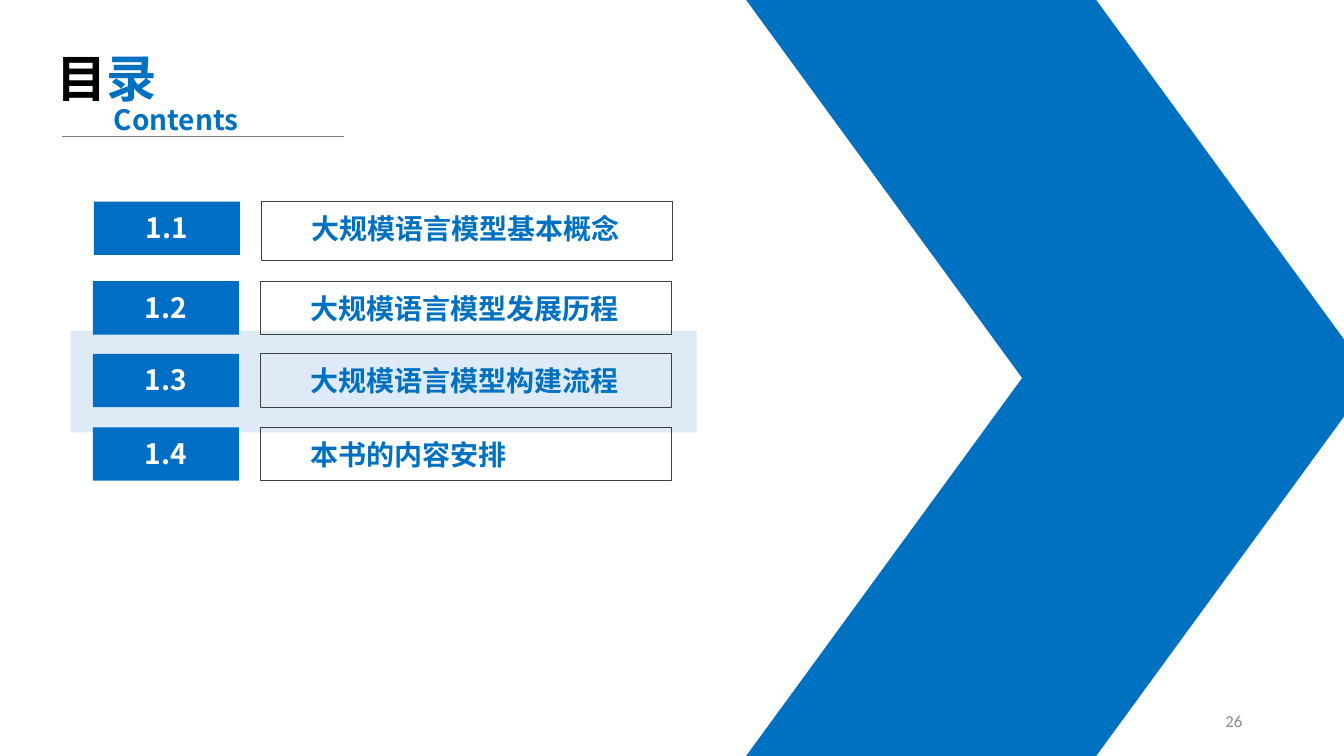
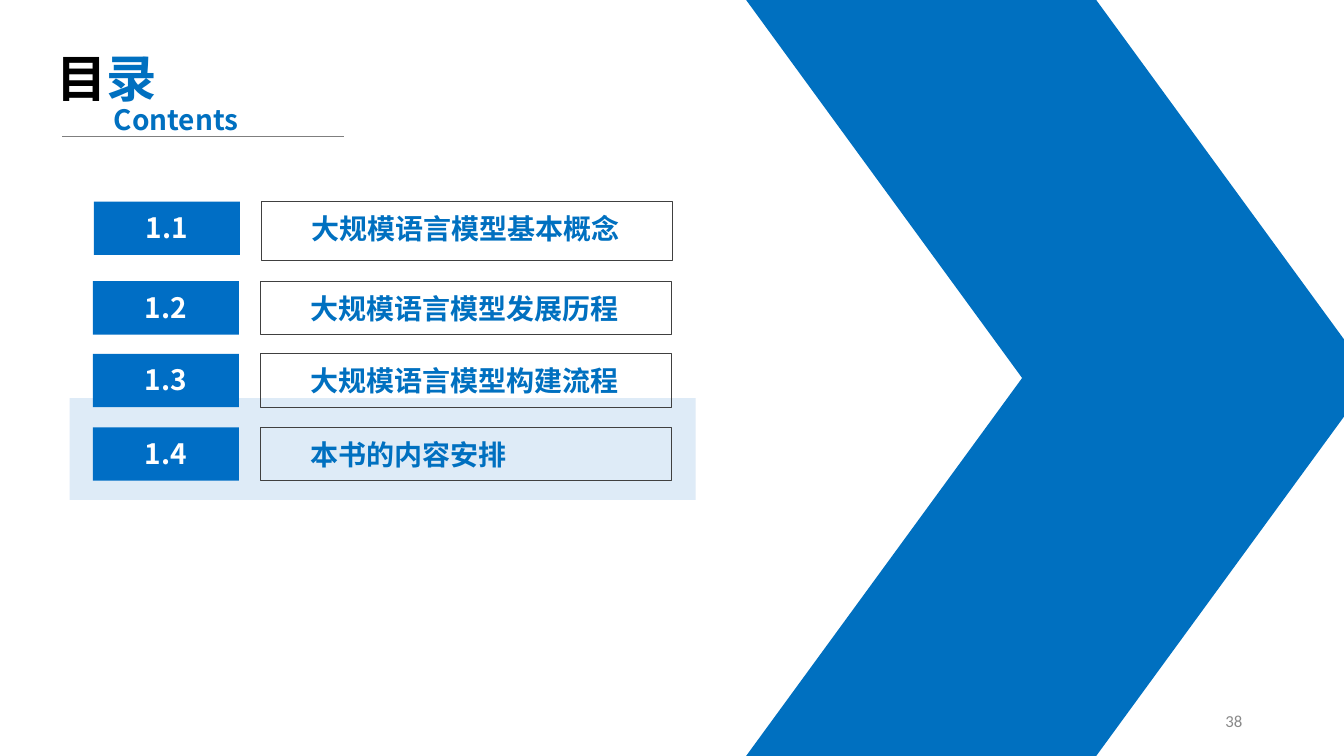
from dataclasses import dataclass

from lxml.etree import SubElement
from pptx import Presentation
from pptx.dml.color import RGBColor
from pptx.enum.shapes import MSO_CONNECTOR, MSO_SHAPE
from pptx.enum.text import MSO_ANCHOR, MSO_AUTO_SIZE, PP_ALIGN
from pptx.oxml.ns import qn
from pptx.shapes.autoshape import Shape
from pptx.slide import Slide
from pptx.text.text import _Paragraph as Paragraph
from pptx.util import Emu, Pt

PX = 9144  # EMU: 100 px to the inch

BLUE = RGBColor(0x00, 0x70, 0xC0)
BADGE_BLUE = RGBColor(0x00, 0x6E, 0xC5)
PALE_BLUE = RGBColor(0xDE, 0xEB, 0xF7)
FRAME_GRAY = RGBColor(0x40, 0x40, 0x40)
RULE_GRAY = RGBColor(0x7F, 0x7F, 0x7F)
PAGE_GRAY = RGBColor(0x89, 0x89, 0x89)
BLACK = RGBColor(0x00, 0x00, 0x00)
WHITE = RGBColor(0xFF, 0xFF, 0xFF)

HEADING_FONT = "Noto Sans CJK SC"
PAGE_FONT = "Calibri"


@dataclass(frozen=True)
class Box:
    left: int
    top: int
    width: int
    height: int

    def emu(self) -> tuple[Emu, ...]:
        return tuple(Emu(n * PX) for n in (self.left, self.top, self.width, self.height))


@dataclass(frozen=True)
class Section:
    number: str
    title: str
    left: int
    top: int
    frame_height: int = 53


@dataclass(frozen=True)
class ContentsPage:
    page: str
    highlight: Box


SECTIONS = (
    Section("1.1", "大规模语言模型基本概念", 93, 200, 58),
    Section("1.2", "大规模语言模型发展历程", 92, 279),
    Section("1.3", "大规模语言模型构建流程", 92, 351),
    Section("1.4", "本书的内容安排", 92, 424),
)

PAGES = (
    ContentsPage("26", Box(70, 328, 621, 101)),
    ContentsPage("38", Box(69, 395, 621, 101)),
)


def add_block(slide: Slide, box: Box, fill: RGBColor | None = None,
              line: RGBColor | None = None, kind: MSO_SHAPE = MSO_SHAPE.RECTANGLE) -> Shape:
    block = slide.shapes.add_shape(kind, *box.emu())
    block.shadow.inherit = False
    if fill is None:
        block.fill.background()
    else:
        block.fill.solid()
        block.fill.fore_color.rgb = fill
    if line is None:
        block.line.fill.background()
    else:
        block.line.color.rgb = line
        block.line.width = Pt(0.75)
    return block


def add_text(slide: Slide, box: Box, text: str, size: int, color: RGBColor,
             align: PP_ALIGN = PP_ALIGN.LEFT, font: str = HEADING_FONT,
             bold: bool = True, grow: bool = True) -> Paragraph:
    frame = slide.shapes.add_textbox(*box.emu()).text_frame
    frame.word_wrap = True
    if grow:
        frame.auto_size = MSO_AUTO_SIZE.SHAPE_TO_FIT_TEXT
    else:
        frame.vertical_anchor = MSO_ANCHOR.MIDDLE
    paragraph = frame.paragraphs[0]
    paragraph.alignment = align
    paragraph.add_run().text = text
    style = paragraph.font
    style.name, style.size, style.bold = font, Pt(size), bold
    style.color.rgb = color
    # Chinese characters take their typeface from the East Asian font
    defaults = paragraph._p.pPr.find(qn("a:defRPr"))
    SubElement(defaults, qn("a:ea")).set("typeface", font)
    return paragraph


def add_chevron(slide: Slide) -> None:
    """Two mirrored parallelograms that meet at mid-height."""
    for top, flipped in ((375, False), (0, True)):
        half = add_block(slide, Box(740, top, 621, 375), BLUE, kind=MSO_SHAPE.PARALLELOGRAM)
        half.adjustments[0] = 0.73
        if flipped:
            half.element.spPr.find(qn("a:xfrm")).set("flipV", "1")


def add_heading(slide: Slide) -> None:
    heading = add_text(slide, Box(46, 42, 157, 71), "目", 36, BLACK)
    accent = heading.add_run()
    accent.text = "录"
    accent.font.color.rgb = BLUE
    rule = slide.shapes.add_connector(
        MSO_CONNECTOR.STRAIGHT, *(Emu(n * PX) for n in (62, 135, 341, 135)))
    rule.line.color.rgb = RULE_GRAY
    rule.line.width = Pt(0.5)
    SubElement(rule._element.spPr, qn("a:effectLst"))
    add_text(slide, Box(103, 97, 157, 44), "Contents", 20, BLUE)


def add_section(slide: Slide, section: Section) -> None:
    left, top = section.left, section.top
    add_block(slide, Box(left + 166, top, 408, section.frame_height), line=FRAME_GRAY)
    add_text(slide, Box(left + 206, top + 5, 368, 44), section.title, 20, BLUE)
    add_block(slide, Box(left, top, 145, 53), BADGE_BLUE)
    add_text(slide, Box(left + 20, top + 4, 105, 44), section.number, 20, WHITE,
             PP_ALIGN.CENTER)


def add_contents_slide(deck: Presentation, contents: ContentsPage) -> None:
    slide = deck.slides.add_slide(deck.slide_layouts[6])
    add_block(slide, contents.highlight, PALE_BLUE)
    add_chevron(slide)
    add_heading(slide)
    for section in SECTIONS:
        add_section(slide, section)
    add_text(slide, Box(942, 695, 300, 40), contents.page, 12, PAGE_GRAY,
             PP_ALIGN.RIGHT, PAGE_FONT, bold=False, grow=False)


def main() -> None:
    deck = Presentation()
    deck.slide_width, deck.slide_height = Emu(1333 * PX), Emu(750 * PX)
    for contents in PAGES:
        add_contents_slide(deck, contents)
    deck.save("out.pptx")


if __name__ == "__main__":
    main()
